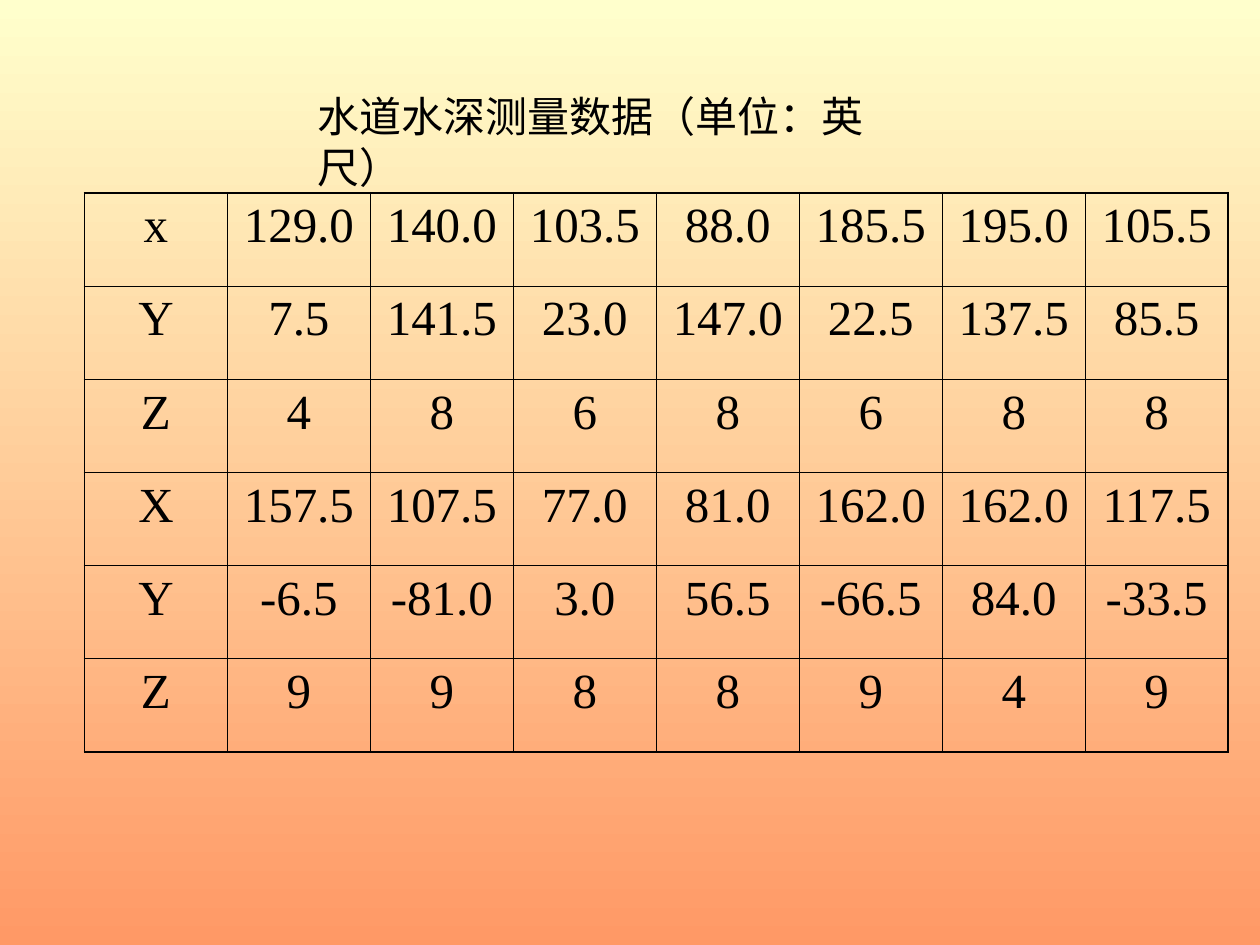
from dataclasses import dataclass

from lxml import etree
from pptx import Presentation
from pptx.dml.color import RGBColor
from pptx.enum.text import MSO_ANCHOR, MSO_AUTO_SIZE, PP_ALIGN
from pptx.oxml.ns import qn
from pptx.table import Table, _Cell
from pptx.text.text import _Paragraph
from pptx.util import Inches, Pt

TOP = MSO_ANCHOR.TOP
FIT_SHAPE = MSO_AUTO_SIZE.SHAPE_TO_FIT_TEXT
LEFT, CENTER = PP_ALIGN.LEFT, PP_ALIGN.CENTER

BLACK = RGBColor(0x00, 0x00, 0x00)
CREAM = RGBColor(0xFF, 0xFF, 0xCC)
ORANGE = RGBColor(0xFF, 0x99, 0x66)
FONT = "Times New Roman"
COL_W, ROW_H = 1.135, 0.74
THIN, THICK = Pt(0.45), Pt(1.08)


@dataclass(frozen=True)
class Reading:
    label: str
    values: tuple[str, ...]


READINGS = (
    Reading("x", ("129.0", "140.0", "103.5", "88.0", "185.5", "195.0", "105.5")),
    Reading("Y", ("7.5", "141.5", "23.0", "147.0", "22.5", "137.5", "85.5")),
    Reading("Z", ("4", "8", "6", "8", "6", "8", "8")),
    Reading("X", ("157.5", "107.5", "77.0", "81.0", "162.0", "162.0", "117.5")),
    Reading("Y", ("-6.5", "-81.0", "3.0", "56.5", "-66.5", "84.0", "-33.5")),
    Reading("Z", ("9", "9", "8", "8", "9", "4", "9")),
)


def add_text(p: _Paragraph, text: str, size: int, align: PP_ALIGN) -> None:
    p.alignment = align
    r = p.add_run()
    r.text = text
    r.font.name = FONT
    r.font.size = Pt(size)
    r.font.color.rgb = BLACK


def set_border(cell: _Cell, side: str, width: int) -> None:
    tc_pr = cell._tc.get_or_add_tcPr()
    ln = etree.SubElement(tc_pr, qn(f"a:ln{side}"), w=str(width))
    fill = etree.SubElement(ln, qn("a:solidFill"))
    etree.SubElement(fill, qn("a:srgbClr"), val=str(BLACK))


def fill_cell(table: Table, row: int, col: int, text: str) -> None:
    cell = table.cell(row, col)
    edges = {
        "L": col == 0,
        "R": col == len(table.columns) - 1,
        "T": row == 0,
        "B": row == len(table.rows) - 1,
    }
    for side, outer in edges.items():
        set_border(cell, side, THICK if outer else THIN)
    cell.fill.background()
    cell.vertical_anchor = TOP
    p = cell.text_frame.paragraphs[0]
    p.space_before = Pt(7)
    add_text(p, text, 28, CENTER)


prs = Presentation()
prs.slide_width, prs.slide_height = Inches(10), Inches(7.5)
s = prs.slides.add_slide(prs.slide_layouts[5])

bg = s.background.fill
bg.gradient()
bg.gradient_angle = 270
for stop, color in zip(bg.gradient_stops, (CREAM, ORANGE)):
    stop.color.rgb = color

title = s.shapes.title
title.left, title.top = Inches(2.42), Inches(0.67)
title.width, title.height = Inches(5), Inches(0.9)
tf = title.text_frame
tf.word_wrap = True
tf.auto_size = FIT_SHAPE
tf.vertical_anchor = TOP
add_text(tf.paragraphs[0], "水道水深测量数据（单位：英尺）", 24, LEFT)

n_rows, n_cols = len(READINGS), 1 + len(READINGS[0].values)
table = s.shapes.add_table(
    n_rows, n_cols, Inches(0.67), Inches(1.53),
    Inches(n_cols * COL_W), Inches(n_rows * ROW_H),
).table
table.first_row = table.horz_banding = False
for row, reading in enumerate(READINGS):
    for col, text in enumerate((reading.label, *reading.values)):
        fill_cell(table, row, col, text)

prs.save("out.pptx")
